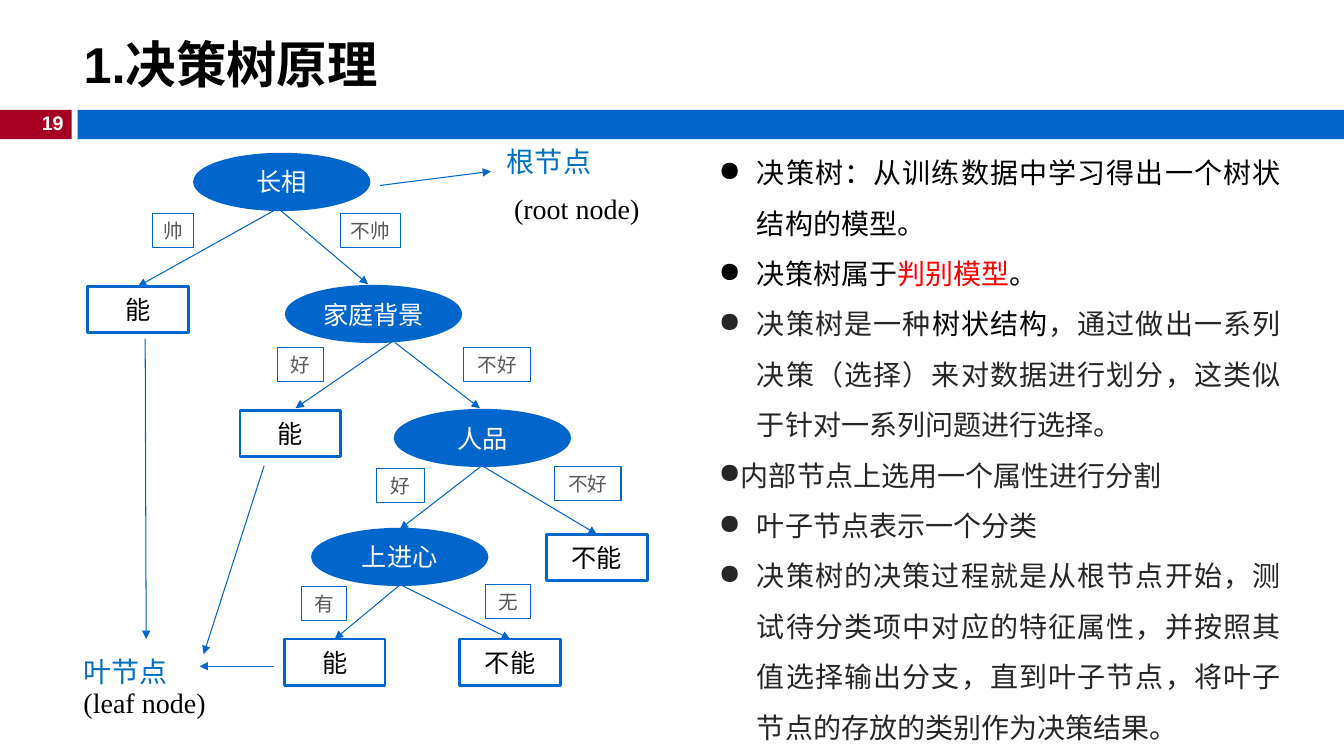
from lxml.etree import SubElement as Sub
from pptx import Presentation
from pptx.dml.color import RGBColor as RGB
from pptx.enum.shapes import MSO_CONNECTOR as Conn, MSO_SHAPE as Form
from pptx.enum.text import MSO_ANCHOR as Anchor, PP_ALIGN as Align
from pptx.oxml.ns import qn
from pptx.util import Inches, Pt

BLUE = RGB(0x00, 0x66, 0xCC)
SKY = RGB(0x00, 0x70, 0xC0)
WINE = RGB(0xA5, 0x00, 0x21)
RED = RGB(0xFF, 0x00, 0x00)
BLACK = RGB(0x00, 0x00, 0x00)
DARK = RGB(0x26, 0x26, 0x26)
GREY = RGB(0x59, 0x59, 0x59)
WHITE = RGB(0xFF, 0xFF, 0xFF)
SANS, SERIF, HAN = "Arial", "Times New Roman", "Noto Sans CJK SC"

# Tree parts, in inches from the corner of the tree
TESTS = {"looks": ("长相", 1.06, 0), "home": ("家庭背景", 1.97, 1.31),
         "heart": ("人品", 3.05, 2.54), "drive": ("上进心", 2.23, 3.72)}
LEAVES = {"yes1": ("能", 0, 1.31), "yes2": ("能", 1.51, 2.54),
          "yes3": ("能", 1.95, 4.81), "no1": ("不能", 3.69, 4.81),
          "no2": ("不能", 4.55, 3.77)}
TAGS = [("帅", 0.64, 0.59, 0.41), ("不帅", 2.51, 0.59, 0.59),
        ("好", 1.88, 1.92, 0.46), ("不好", 3.73, 1.92, 0.66),
        ("好", 2.86, 3.12, 0.48), ("不好", 4.63, 3.1, 0.66),
        ("有", 2.12, 4.29, 0.45), ("无", 3.95, 4.27, 0.44)]
JOINED = [(1.9, 0.53, "yes1"), (3.91, 3.09, "drive"), (3.91, 3.09, "no2"),
          (3.1, 4.27, "yes3"), (3.1, 4.27, "no1")]
FREE = [(1.88, 0.53, 2.78, 1.29), (3.02, 1.86, 2.06, 2.52),
        (3.05, 1.87, 3.89, 2.52), (1.85, 5.08, 1.11, 5.08),
        (1.75, 3.09, 1.15, 4.96), (2.9, 0.31, 4, 0.17),
        (0.57, 1.83, 0.58, 4.81)]

# Each point: level, colour, runs with an optional colour of their own
POINTS = [
    (0, BLACK, [("决策树：从训练数据中学习得出一个树状结构的模型。", None)]),
    (0, BLACK, [("决策树属于", None), ("判别模型", RED), ("。", None)]),
    (0, DARK, [("决策树是一种", None), ("树状结构", BLACK),
               ("，通过做出一系列决策（选择）来对数据进行划分，"
                "这类似于针对一系列问题进行选择。", None)]),
    (1, DARK, [("内部节点上选用一个属性进行分割", None)]),
    (0, DARK, [("叶子节点表示一个分类", None)]),
    (0, DARK, [("决策树的决策过程就是从根节点开始，测试待分类项中对应的特征属性，"
                "并按照其值选择输出分支，直到叶子节点，"
                "将叶子节点的存放的类别作为决策结果。", None)]),
]


def style(para, size, color, face=SANS, bold=False, align=Align.LEFT):
    para.alignment = align
    font = para.font
    font.size, font.bold, font.name = Pt(size), bold, face
    font.color.rgb = color
    base = para._p.pPr.find(qn("a:defRPr"))
    Sub(base, qn("a:ea")).set("typeface", HAN)


def shape(slide, form, x, y, w, h, fill=None, line=None, width=0.75):
    item = slide.shapes.add_shape(form, *map(Inches, (x, y, w, h)))
    item.shadow.inherit = False
    if fill is None:
        item.fill.background()
    else:
        item.fill.solid()
        item.fill.fore_color.rgb = fill
    if line is None:
        item.line.fill.background()
    else:
        item.line.color.rgb = line
        item.line.width = Pt(width)
    return item


def label(item, text, size, color):
    frame = item.text_frame
    frame.margin_left = frame.margin_right = 0
    frame.margin_top = frame.margin_bottom = 0
    frame.vertical_anchor = Anchor.MIDDLE
    para = frame.paragraphs[0]
    para.text = text
    style(para, size, color, align=Align.CENTER)


def arrow(slide, x1, y1, x2, y2, goal=None):
    link = slide.shapes.add_connector(
        Conn.STRAIGHT, *map(Inches, (x1, y1, x2, y2)))
    if goal is not None:
        link.end_connect(goal, 0)
    link.line.color.rgb = BLUE
    link.line.width = Pt(0.75)
    Sub(link.line._get_or_add_ln(), qn("a:tailEnd")).set("type", "triangle")
    Sub(link._element.spPr, qn("a:effectLst"))


def textbox(slide, x, y, w, h):
    frame = slide.shapes.add_textbox(*map(Inches, (x, y, w, h))).text_frame
    frame.word_wrap = True
    return frame


def head(slide, x, y, w, h):
    title = slide.shapes.title
    title.left, title.top, title.width, title.height = map(
        Inches, (x, y, w, h))
    title.text_frame.vertical_anchor = Anchor.MIDDLE
    para = title.text_frame.paragraphs[0]
    para.text = "1.决策树原理"
    style(para, 36, BLACK, bold=True)


def band(slide, x, y, w, h):
    shape(slide, Form.RECTANGLE, x, y, 0.71, h, WINE)
    shape(slide, Form.RECTANGLE, x + 0.77, y, w - 0.77, h, BLUE)
    frame = textbox(slide, x + 0.29, y - 0.04, 0.44, 0.34)
    frame.margin_left = 0
    para = frame.paragraphs[0]
    para.text = "19"
    style(para, 14, WHITE, bold=True, align=Align.RIGHT)


def note(slide, x, y, w, h, name, term, space=None, indent=0):
    frame = textbox(slide, x, y, w, h)
    top, low = frame.paragraphs[0], frame.add_paragraph()
    top.text, low.text = name, term
    low.space_before = Pt(10)
    low._p.get_or_add_pPr().set("marL", str(Inches(indent)))
    for para, color, face in ((top, SKY, HAN), (low, BLACK, SERIF)):
        para.line_spacing = space
        style(para, 20, color, face)


def tree(slide, x, y):
    nodes = {}
    # Attribute tests and leaves
    for key, (text, dx, dy) in TESTS.items():
        nodes[key] = shape(slide, Form.OVAL, x + dx, y + dy, 1.73, 0.55,
                           BLUE, BLUE, 2)
        label(nodes[key], text, 18, WHITE)
    for key, (text, dx, dy) in LEAVES.items():
        nodes[key] = shape(slide, Form.RECTANGLE, x + dx, y + dy, 1, 0.46,
                           WHITE, BLUE, 2)
        label(nodes[key], text, 18, BLACK)
    # Branches and pointers
    for dx, dy, key in JOINED:
        arrow(slide, x + dx, y + dy, x, y, nodes[key])
    for x1, y1, x2, y2 in FREE:
        arrow(slide, x + x1, y + y1, x + x2, y + y2)
    # Branch values
    for text, dx, dy, w in TAGS:
        tag = shape(slide, Form.RECTANGLE, x + dx, y + dy, w, 0.34, line=BLUE)
        label(tag, text, 14, GREY)
    # Names of the node kinds
    note(slide, x + 4.06, y - 0.15, 1.87, 0.94, "根节点", "(root node)",
         indent=0.07)
    note(slide, x - 0.14, y + 5.06, 6.67, 0.63, "叶节点", "(leaf node)",
         space=0.5)


def points(slide, x, y, w, h):
    frame = textbox(slide, x, y, w, h)
    for i, (level, color, runs) in enumerate(POINTS):
        para = frame.add_paragraph() if i else frame.paragraphs[0]
        para.level = level
        props = para._p.get_or_add_pPr()
        props.set("marL", str(Inches(0 if level else 0.38)))
        props.set("indent", str(Inches(-0.38)))
        Sub(props, qn("a:buChar")).set("char", "●")
        para.line_spacing = 1.5
        style(para, 20, color, SERIF, align=Align.JUSTIFY)
        for text, tint in runs:
            run = para.add_run()
            run.text = text
            if tint is not None:
                run.font.color.rgb = tint


def main():
    deck = Presentation()
    deck.slide_width, deck.slide_height = Inches(13.33), Inches(7.5)
    slide = deck.slides.add_slide(deck.slide_layouts[5])
    band(slide, 0, 1.09, 13.33, 0.29)
    head(slide, 0.73, 0.26, 12.6, 0.74)
    tree(slide, 0.87, 1.53)
    points(slide, 7.03, 1.33, 5.77, 6.66)
    deck.save("out.pptx")


if __name__ == "__main__":
    main()
